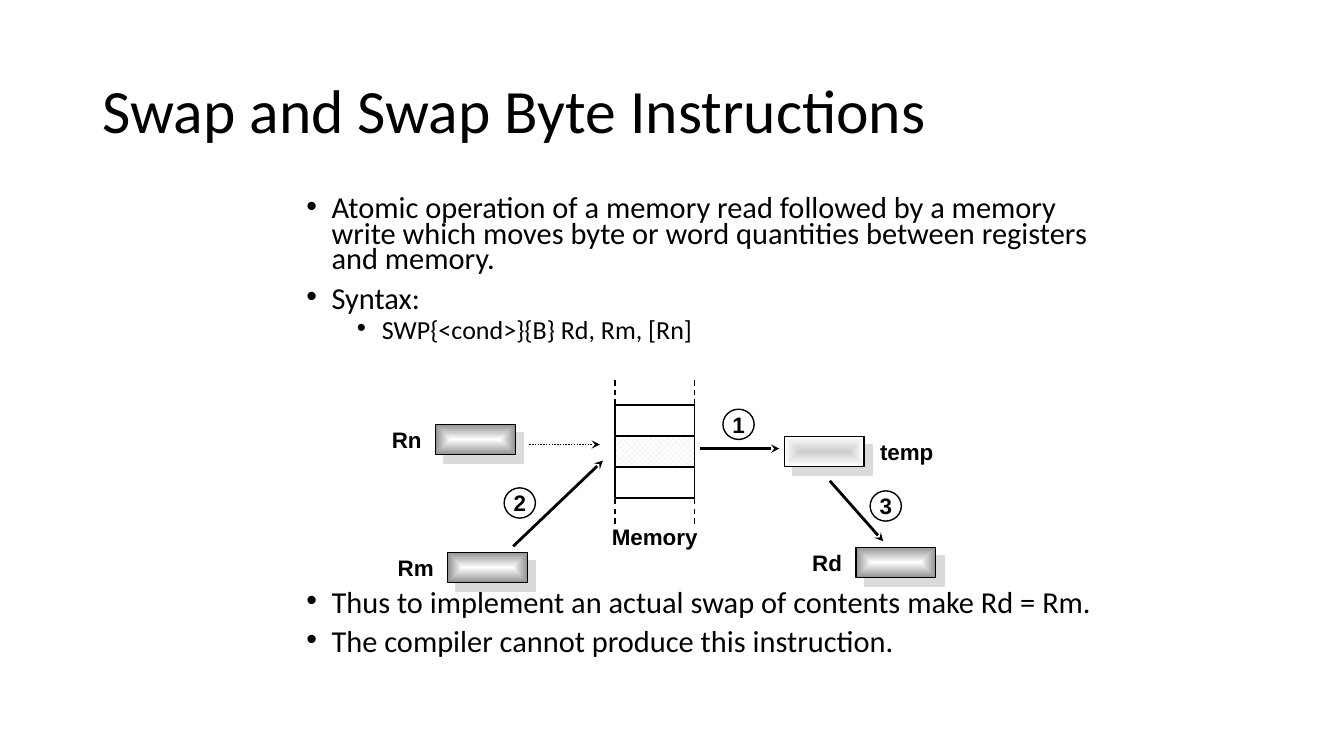
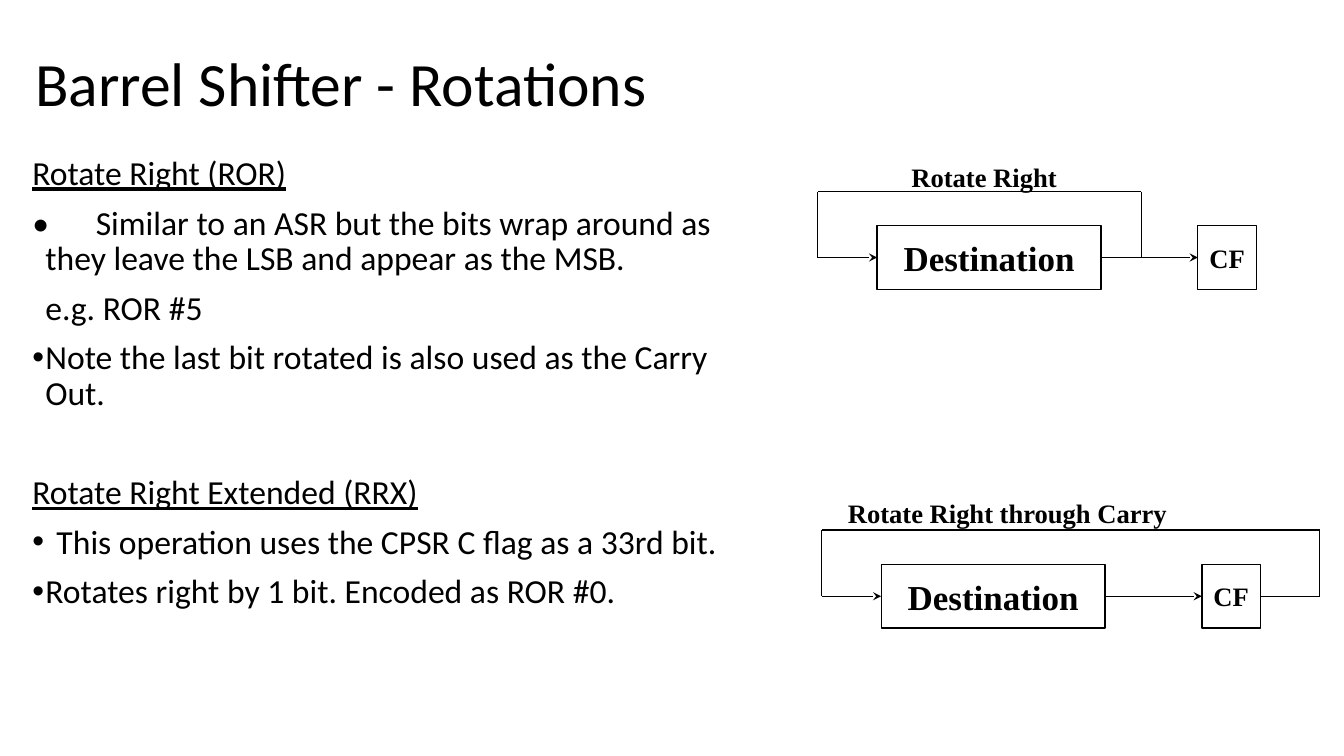
import itertools

import pptx
import pptx.dml.color
import pptx.enum.dml
import pptx.enum.shapes
import pptx.enum.text
import pptx.oxml
import pptx.oxml.ns
import pptx.util

Inches = pptx.util.Inches
Pt = pptx.util.Pt
RGBColor = pptx.dml.color.RGBColor
Align = pptx.enum.text.PP_ALIGN
Anchor = pptx.enum.text.MSO_ANCHOR
Shapes = pptx.enum.shapes.MSO_SHAPE
Dash = pptx.enum.dml.MSO_LINE
qn = pptx.oxml.ns.qn

BLACK = RGBColor(0x00, 0x00, 0x00)
WHITE = RGBColor(0xFF, 0xFF, 0xFF)
GRAY = RGBColor(0x91, 0x91, 0x91)
SILVER = RGBColor(0xCE, 0xCE, 0xCE)
PALE = RGBColor(0xE7, 0xE6, 0xE6)
SHADOW = RGBColor(0xDA, 0xDA, 0xDA)

TITLE_FONT = dict(name="Calibri", size=Pt(44))
LABEL_FONT = dict(name="Arial", size=Pt(16), bold=True)
BOX_FONT = dict(name="Times New Roman", size=Pt(25), bold=True)
CAPTION_FONT = dict(name="Times New Roman", size=Pt(19), bold=True)
DEFAULT_INSETS = (0.1, 0.05)
TIGHT_INSETS = (0.07, 0.03)

# Paragraphs: text, size, space before, left margin, first-line offset, bullet, underline
SWAP_TEXT = [
    ("Atomic operation of a memory read followed by a memory write which moves byte or word "
     "quantities between registers and memory.", 21.7, 10, 0.25, -0.25, True, False),
    ("Syntax:", 21.7, 10, 0.25, -0.25, True, False),
    ("SWP{<cond>}{B} Rd, Rm, [Rn]", 18.6, 5, 0.75, -0.25, True, False),
    ("Thus to implement an actual swap of contents make Rd = Rm.",
     21.7, 178, 0.25, -0.25, True, False),
    ("The compiler cannot produce this instruction.", 21.7, 10, 0.25, -0.25, True, False),
]
ROTATION_TEXT = [
    ("Rotate Right (ROR)", 24, 10, 0.13, -0.13, False, True),
    ("•\tSimilar to an ASR but the bits wrap around as they leave the LSB and appear as the MSB.",
     24, 10, 0.13, -0.13, False, False),
    ("e.g. ROR #5", 24, 10, 0.13, 0, False, False),
    ("Note the last bit rotated is also used as the Carry Out.", 24, 10, 0.13, -0.13, True, False),
    ("Rotate Right Extended (RRX)", 24, 46, 0.13, -0.13, False, True),
    ("This operation uses the CPSR C flag as a 33rd bit.", 24, 10, 0.24, -0.24, True, False),
    ("Rotates right by 1 bit. Encoded as ROR #0.", 24, 10, 0.13, -0.13, True, False),
]

CELL_WIDTH, CELL_HEIGHT = 0.79, 0.3
MEMORY_LEFT, MEMORY_TOP, MEMORY_PITCH = 6.1, 4.02, 0.31
MEMORY_ROWS = 3
DASH_LENGTH = 0.25
# Registers: name, left, top, centre colour, edge colour, label offset, label width, alignment
REGISTERS = [
    ("Rm", 4.44, 5.48, WHITE, GRAY, -0.6, 0.56, Align.RIGHT),
    ("Rd", 8.49, 5.43, WHITE, GRAY, -0.6, 0.56, Align.RIGHT),
    ("Rn", 4.32, 4.21, WHITE, GRAY, -0.6, 0.56, Align.RIGHT),
    ("temp", 7.78, 4.33, SILVER, WHITE, 0.85, 0.76, Align.LEFT),
]
# Arrows: start, end, width, dash
SWAP_ARROWS = [
    ((5.25, 4.41), (5.95, 4.41), 1, Dash.ROUND_DOT),
    ((5.09, 5.42), (5.98, 4.57), 2, None),
    ((6.94, 4.45), (7.73, 4.45), 2, None),
    ((8.23, 4.77), (8.76, 5.37), 2, None),
]
STEPS = [("1", 7.17, 4.06), ("2", 5.0, 4.84), ("3", 8.63, 4.87)]

# Rotations: caption, caption offset and width, diagram corner, feedback exits, starts at CF
ROTATIONS = [
    ("Rotate Right", (0.86, -0.34), 2.23, (8.11, 1.9), [3.21], False),
    ("Rotate Right through Carry", (0.19, -0.37), 3.5, (8.15, 5.26), [4.35, 4.94], True),
]
BOX_TOP, BOX_HEIGHT = 0.34, 0.63
DESTINATION_LEFT, DESTINATION_WIDTH = 0.59, 2.22
CARRY_LEFT, CARRY_WIDTH = 3.77, 0.58


def set_all(target, values):
    for name, value in values.items():
        setattr(target, name, value)


def write(paragraph, text, font):
    run = paragraph.add_run()
    run.text = text
    set_all(run.font, font)
    run.font.color.rgb = BLACK


def add_text_box(slide, box, insets=DEFAULT_INSETS, anchor=Anchor.TOP):
    frame = slide.shapes.add_textbox(*map(Inches, box)).text_frame
    horizontal, vertical = map(Inches, insets)
    set_all(frame, dict(word_wrap=True, vertical_anchor=anchor,
                        margin_left=horizontal, margin_right=horizontal,
                        margin_top=vertical, margin_bottom=vertical))
    return frame


def add_label(slide, box, text, font, align=Align.LEFT, spacing=0.9, **frame_options):
    paragraph = add_text_box(slide, box, **frame_options).paragraphs[0]
    set_all(paragraph, dict(alignment=align, line_spacing=spacing))
    write(paragraph, text, font)


def add_title(slide, left, top, text):
    add_label(slide, (left, top, 11.5, 1.45), text, TITLE_FONT, anchor=Anchor.MIDDLE)


def add_body(slide, box, paragraphs, spacing, insets=DEFAULT_INSETS):
    frame = add_text_box(slide, box, insets)
    for index, (text, size, before, margin, offset, bullet, underline) in enumerate(paragraphs):
        paragraph = frame.add_paragraph() if index else frame.paragraphs[0]
        set_all(paragraph, dict(line_spacing=spacing, space_before=Pt(before)))
        properties = paragraph._p.get_or_add_pPr()
        properties.set("marL", str(Inches(margin)))
        properties.set("indent", str(Inches(offset)))
        if bullet:
            font = properties.makeelement(qn("a:buFont"), {"typeface": "Arial"})
            character = properties.makeelement(qn("a:buChar"), {"char": "•"})
            properties.extend([font, character])
        write(paragraph, text, dict(name="Calibri", size=Pt(size), underline=underline))


def add_outline(slide, kind, box, text="", font=None):
    """Add an unfilled black-edged shape, with centred text if given."""
    shape = slide.shapes.add_shape(kind, *map(Inches, box))
    shape.shadow.inherit = False
    shape.fill.background()
    shape.line.color.rgb = BLACK
    shape.line.width = Pt(1)
    if text:
        set_all(shape.text_frame, dict(word_wrap=False, vertical_anchor=Anchor.MIDDLE,
                                       margin_left=0, margin_right=0,
                                       margin_top=0, margin_bottom=0))
        paragraph = shape.text_frame.paragraphs[0]
        paragraph.alignment = Align.CENTER
        write(paragraph, text, font)
    return shape


def add_line(slide, start, end, width=1, dash=None, arrow=False):
    line = slide.shapes.add_connector(pptx.enum.shapes.MSO_CONNECTOR.STRAIGHT,
                                      *map(Inches, (*start, *end)))
    line.line.color.rgb = BLACK
    line.line.width = Pt(width)
    if dash:
        line.line.dash_style = dash
    if arrow:
        outline = line.line._get_or_add_ln()
        outline.append(outline.makeelement(qn("a:tailEnd"), {"type": "stealth"}))
    properties = line._element.spPr
    properties.append(properties.makeelement(qn("a:effectLst"), {}))
    return line


def add_register(slide, left, top, centre, edge):
    """Add a register with a gradient from its centre and a hard shadow."""
    shape = add_outline(slide, Shapes.RECTANGLE, (left, top, CELL_WIDTH, CELL_HEIGHT))
    shape.fill.gradient()
    for stop, color in zip(shape.fill.gradient_stops, (centre, edge)):
        stop.color.rgb = color
    properties = shape._element.spPr
    for position, stop in zip(("0", "100000"), properties.iter(qn("a:gs"))):
        stop.set("pos", position)
    linear = next(properties.iter(qn("a:lin")))
    radial = linear.makeelement(qn("a:path"), {"path": "shape"})
    radial.append(radial.makeelement(qn("a:fillToRect"), dict.fromkeys("ltrb", "50000")))
    linear.getparent().replace(linear, radial)
    effects = properties.find(qn("a:effectLst"))
    shadow = effects.makeelement(qn("a:outerShdw"), {
        "dist": str(Pt(8.5)), "dir": str(45 * 60000), "algn": "ctr", "rotWithShape": "0"})
    shadow.append(shadow.makeelement(qn("a:srgbClr"), {"val": str(SHADOW)}))
    effects.append(shadow)


def add_memory(slide):
    for row in range(MEMORY_ROWS):
        cell = add_outline(slide, Shapes.RECTANGLE, (
            MEMORY_LEFT, MEMORY_TOP + row * MEMORY_PITCH, CELL_WIDTH, CELL_HEIGHT))
        if row == 1:
            cell.fill.patterned()
            cell.fill.pattern = pptx.enum.dml.MSO_PATTERN.LARGE_CHECKER_BOARD
            cell.fill.fore_color.rgb = PALE
            cell.fill.back_color.rgb = WHITE
    bottom = MEMORY_TOP + MEMORY_ROWS * MEMORY_PITCH
    for x, y in itertools.product((MEMORY_LEFT, MEMORY_LEFT + CELL_WIDTH),
                                  (MEMORY_TOP - DASH_LENGTH, bottom)):
        add_line(slide, (x, y), (x, y + DASH_LENGTH), dash=Dash.DASH)
    add_label(slide, (5.97, 5.17, 1.11, 0.34), "Memory", LABEL_FONT)


def add_rotation(slide, caption, offset, width, corner, exits, starts_at_carry):
    left, top = corner
    wire = BOX_TOP + BOX_HEIGHT / 2
    destination, carry = (
        add_outline(slide, Shapes.RECTANGLE, (left + x, top + BOX_TOP, box_width, BOX_HEIGHT),
                    text, font)
        for text, x, box_width, font in (
            ("Destination", DESTINATION_LEFT, DESTINATION_WIDTH, BOX_FONT),
            ("CF", CARRY_LEFT, CARRY_WIDTH, CAPTION_FONT)))
    output = add_line(slide, (left + DESTINATION_LEFT + DESTINATION_WIDTH, top + wire),
                      (left + CARRY_LEFT, top + wire), arrow=True)
    output.begin_connect(destination, 3)
    output.end_connect(carry, 1)

    route = [(x, wire) for x in exits]
    route += [(exits[-1], 0), (0, 0), (0, wire), (DESTINATION_LEFT, wire)]
    points = [(left + x, top + y) for x, y in route]
    feedback = [add_line(slide, start, end, arrow=end == points[-1])
                for start, end in itertools.pairwise(points)]
    if starts_at_carry:
        feedback[0].begin_connect(carry, 3)
    feedback[-1].end_connect(destination, 1)
    add_label(slide, (left + offset[0], top + offset[1], width, 0.39), caption, CAPTION_FONT,
              spacing=1.02, insets=TIGHT_INSETS)


def build_swap_slide(slide):
    add_body(slide, (2.94, 1.92, 8.15, 4.78), SWAP_TEXT, 0.7)
    add_title(slide, 0.92, 0.4, "Swap and Swap Byte Instructions")
    add_memory(slide)
    for name, left, top, centre, edge, offset, width, align in REGISTERS:
        add_register(slide, left, top, centre, edge)
        add_label(slide, (left + offset, top, width, 0.34), name, LABEL_FONT, align)
    for start, end, width, dash in SWAP_ARROWS:
        add_line(slide, start, end, width, dash, arrow=True)
    for number, left, top in STEPS:
        add_outline(slide, Shapes.OVAL, (left, top, 0.31, 0.3), number, LABEL_FONT)


def build_rotation_slide(slide):
    add_title(slide, 0.25, 0.13, "Barrel Shifter - Rotations")
    add_body(slide, (0.25, 1.53, 7.42, 4.92), ROTATION_TEXT, 0.88, TIGHT_INSETS)
    for rotation in ROTATIONS:
        add_rotation(slide, *rotation)


def main():
    presentation = pptx.Presentation()
    presentation.slide_width = Inches(13.33)
    presentation.slide_height = Inches(7.5)
    for build in (build_swap_slide, build_rotation_slide):
        build(presentation.slides.add_slide(presentation.slide_layouts[6]))
    presentation.save("out.pptx")


if __name__ == "__main__":
    main()
